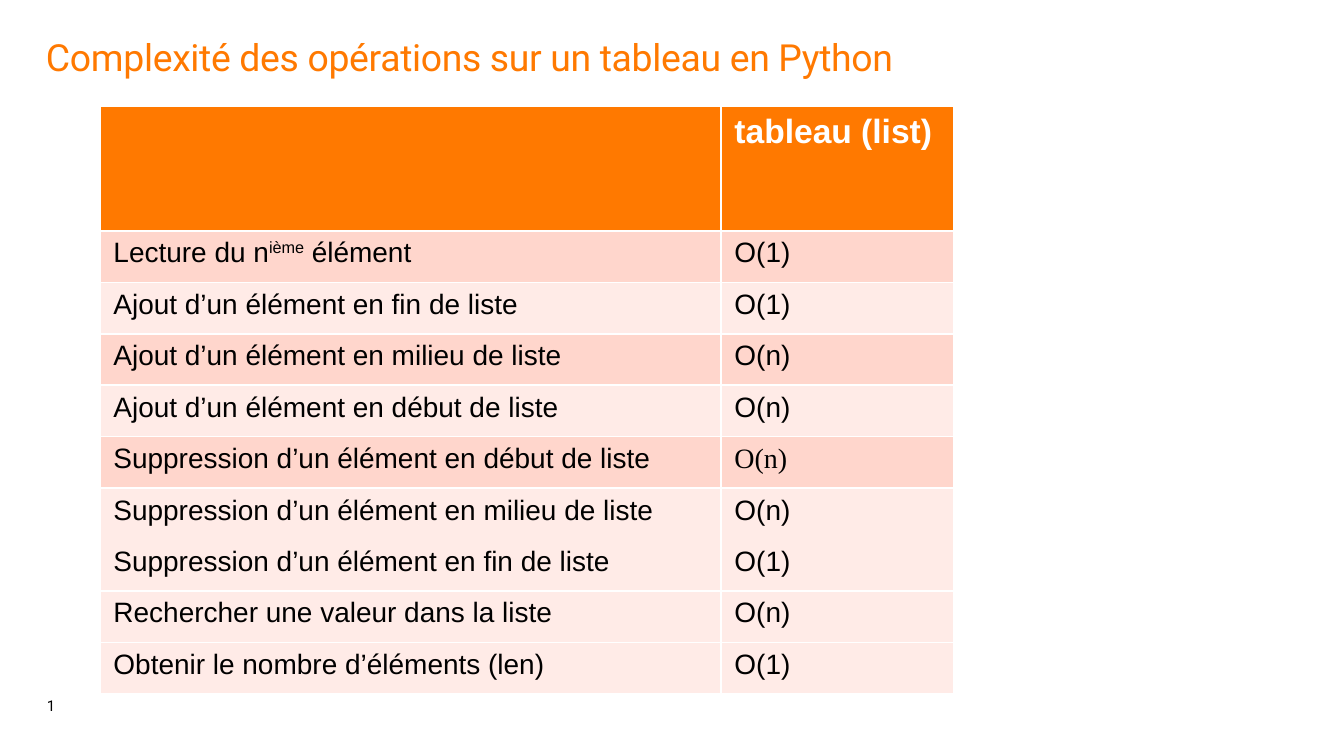
"""Build a slide with a table of the cost of list operations in Python."""
from dataclasses import dataclass

from lxml import etree
from pptx import Presentation
from pptx.dml.color import RGBColor
from pptx.enum.text import MSO_ANCHOR, MSO_AUTO_SIZE, PP_ALIGN
from pptx.oxml.ns import qn
from pptx.util import Pt

TOP, BOTTOM = MSO_ANCHOR.TOP, MSO_ANCHOR.BOTTOM
FIXED = MSO_AUTO_SIZE.NONE
LEFT = PP_ALIGN.LEFT
SCALE = 914400 / 134.4


@dataclass(frozen=True)
class Theme:
    orange: str = "FF7900"
    dark: str = "FFD6CC"
    light: str = "FFEBE7"
    white: str = "FFFFFF"
    black: str = "000000"
    title: int = 20
    head: int = 18
    body: int = 15
    number: int = 8
    line: float = 0.96
    sans: str = "Roboto"
    table: str = "Arial"
    serif: str = "Times New Roman"


THEME = Theme()


def px(count):
    return round(count * SCALE)


def style(para, face, size, color, bold=False):
    para.alignment = LEFT
    para.font.name = face
    para.font.size = Pt(size)
    para.font.bold = bold
    para.font.color.rgb = RGBColor.from_string(color)


HEAD = ("", "tableau (list)", THEME.orange)
ROWS = [
    HEAD,
    ("Lecture du n^ième^ élément", "O(1)", THEME.dark),
    ("Ajout d’un élément en fin de liste", "O(1)", THEME.light),
    ("Ajout d’un élément en milieu de liste", "O(n)", THEME.dark),
    ("Ajout d’un élément en début de liste", "O(n)", THEME.light),
    ("Suppression d’un élément en début de liste", "O(n)", THEME.dark),
    ("Suppression d’un élément en milieu de liste", "O(n)", THEME.light),
    ("Suppression d’un élément en fin de liste", "O(1)", THEME.light),
    ("Rechercher une valeur dans la liste", "O(n)", THEME.light),
    ("Obtenir le nombre d’éléments (len)", "O(1)", THEME.light),
]
SERIF_CELL = (5, 1)
OPEN_EDGES = {(6, "lnB"), (7, "lnT")}
WIDTHS = (621, 233)
HEAD_HIGH, BODY_HIGH = 125, 463

deck = Presentation()
deck.slide_width, deck.slide_height = px(1344), px(756)
slide = deck.slides.add_slide(deck.slide_layouts[5])

title = slide.shapes.title
title.left, title.top, title.width, title.height = px(46), px(39), px(1251), px(109)
title.text = "Complexité des opérations sur un tableau en Python"
number = slide.shapes.add_textbox(px(46), px(667), px(40), px(48))
number.text_frame.text = "1"

for shape, anchor, size, color, gap in (
    (title, TOP, THEME.title, THEME.orange, 0.9),
    (number, BOTTOM, THEME.number, THEME.black, 0.85),
):
    frame = shape.text_frame
    frame.word_wrap, frame.auto_size = True, FIXED
    frame.vertical_anchor = anchor
    frame.margin_left = frame.margin_top = frame.margin_right = frame.margin_bottom = 0
    frame.paragraphs[0].line_spacing = gap
    style(frame.paragraphs[0], THEME.sans, size, color)
number.text_frame.margin_left = px(1)
title.text_frame.paragraphs[0].runs[0]._r.get_or_add_rPr().set("spc", "-20")

table = slide.shapes.add_table(
    len(ROWS), len(WIDTHS), px(100), px(106), px(sum(WIDTHS)), px(HEAD_HIGH + BODY_HIGH)
).table
for column, width in zip(table.columns, WIDTHS):
    column.width = px(width)

for row, (label, cost, fill) in enumerate(ROWS):
    head = row == 0
    table.rows[row].height = px(HEAD_HIGH if head else BODY_HIGH / (len(ROWS) - 1))
    for col, text in enumerate((label, cost)):
        cell = table.cell(row, col)
        props = cell._tc.get_or_add_tcPr()
        for edge in ("lnL", "lnR", "lnT", "lnB"):
            line = etree.SubElement(props, qn(f"a:{edge}"), w=str(Pt(THEME.line)))
            if (row, edge) in OPEN_EDGES:
                etree.SubElement(line, qn("a:noFill"))
            else:
                paint = etree.SubElement(line, qn("a:solidFill"))
                etree.SubElement(paint, qn("a:srgbClr"), val=THEME.white)
        cell.fill.solid()
        cell.fill.fore_color.rgb = RGBColor.from_string(fill)

        para = cell.text_frame.paragraphs[0]
        for place, part in enumerate(text.split("^")):
            if part:
                run = para.add_run()
                run.text = part
                if place % 2:
                    run._r.get_or_add_rPr().set("baseline", "33000")
        face = THEME.serif if (row, col) == SERIF_CELL else THEME.table
        size = THEME.head if head else THEME.body
        style(para, face, size, THEME.white if head else THEME.black, head)

deck.save("out.pptx")
